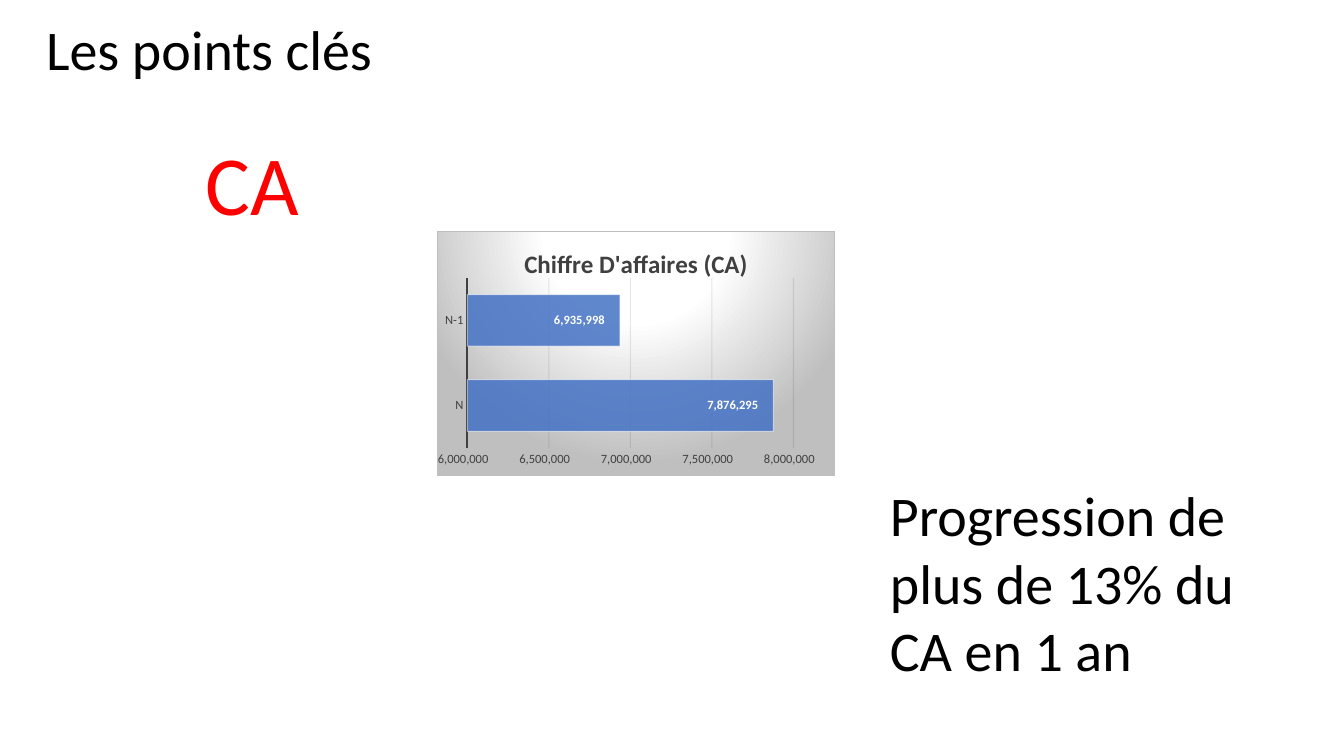
from pptx import Presentation
from pptx.chart.data import CategoryChartData
from pptx.dml.color import RGBColor
from pptx.enum.chart import XL_CHART_TYPE as CHART, XL_LABEL_POSITION as LABEL
from pptx.enum.chart import XL_TICK_MARK as TICK
from pptx.enum.text import MSO_ANCHOR as ANCHOR, MSO_AUTO_SIZE as AUTO, PP_ALIGN as ALIGN
from pptx.oxml import parse_xml
from pptx.oxml.ns import nsdecls
from pptx.util import Emu, Pt

PX = 914400 / 100.8
FONT = "Calibri"
DARK = "404040"
WHITE = "FFFFFF"
GREY = "BFBFBF"
NUMBER = '_-* #,##0\\ _€_-;\\-* #,##0\\ _€_-;_-* "-"?'
REVENUE = "Chiffre D'affaires (CA)"


def px(*lengths):
    return [Emu(round(n * PX)) for n in lengths]


def rgb(code):
    return RGBColor.from_string(code)


def set_font(font, size, color, bold=False):
    values = {"name": FONT, "size": Pt(size), "bold": bold}
    for name, value in values.items():
        setattr(font, name, value)
    font.color.rgb = rgb(color)


def set_line(line, color, width):
    line.color.rgb = rgb(color)
    line.width = Pt(width)


def set_text(sp, text, size, color="000000"):
    tf = sp.text_frame
    tf.text = text
    for name, value in {"word_wrap": True, "auto_size": AUTO.SHAPE_TO_FIT_TEXT,
                        "vertical_anchor": ANCHOR.TOP}.items():
        setattr(tf, name, value)
    p = tf.paragraphs[0]
    for name, value in {"alignment": ALIGN.LEFT, "line_spacing": 1.0,
                        "space_before": Pt(0)}.items():
        setattr(p, name, value)
    set_font(p.runs[0].font, size, color)


def add_title(s, box, text, size):
    sp = s.shapes.title
    sp.left, sp.top, sp.width, sp.height = px(*box)
    set_text(sp, text, size)


def add_text(s, box, text, size, color="000000"):
    set_text(s.shapes.add_textbox(*px(*box)), text, size, color)


def set_alpha(chart, query, percent):
    for color in chart.element.xpath(query):
        color.append(parse_xml(f'<a:alpha {nsdecls("a")} val="{percent * 1000}"/>'))


def set_plot_area(chart, x, y, w, h):
    plot_area = chart.element.xpath("c:chart/c:plotArea")[0]
    for layout in plot_area.xpath("c:layout"):
        plot_area.remove(layout)
    plot_area.insert(0, parse_xml(
        f'<c:layout {nsdecls("c")}><c:manualLayout><c:layoutTarget val="inner"/>'
        '<c:xMode val="edge"/><c:yMode val="edge"/>'
        f'<c:x val="{x}"/><c:y val="{y}"/><c:w val="{w}"/><c:h val="{h}"/>'
        '</c:manualLayout></c:layout>'))


def set_background(chart, stops):
    gradient = "".join(f'<a:gs pos="{pos * 1000}"><a:srgbClr val="{color}"/></a:gs>'
                       for pos, color in stops)
    chart.element.xpath("c:chart")[0].addnext(parse_xml(
        f'<c:spPr {nsdecls("c", "a")}><a:gradFill><a:gsLst>{gradient}</a:gsLst>'
        '<a:path path="circle">'
        '<a:fillToRect l="50000" t="-80000" r="50000" b="180000"/></a:path></a:gradFill>'
        f'<a:ln w="{Pt(0.75)}"><a:solidFill><a:srgbClr val="{GREY}"/></a:solidFill></a:ln>'
        '</c:spPr>'))


def format_axes(chart):
    cat, val = chart.category_axis, chart.value_axis
    for axis in (cat, val):
        axis.major_tick_mark = axis.minor_tick_mark = TICK.NONE
        set_font(axis.tick_labels.font, 9, DARK)
    set_line(cat.format.line, DARK, 1.5)
    val.format.line.fill.background()
    for name, value in {"minimum_scale": 6000000, "maximum_scale": 8000000,
                        "major_unit": 500000, "has_major_gridlines": True}.items():
        setattr(val, name, value)
    val.tick_labels.number_format = NUMBER
    val.tick_labels.number_format_is_linked = False
    set_line(val.major_gridlines.format.line, "0D0D0D", 0.75)
    set_alpha(chart, "//c:majorGridlines//a:srgbClr", 10)


def format_bars(chart):
    plot = chart.plots[0]
    plot.gap_width = 65
    plot.vary_by_categories = False
    bars = plot.series[0]
    bars.format.fill.solid()
    bars.format.fill.fore_color.rgb = rgb("4472C4")
    set_line(bars.format.line, WHITE, 0.75)
    set_alpha(chart, "//c:ser/c:spPr/a:solidFill/a:srgbClr", 85)
    set_alpha(chart, "//c:ser/c:spPr/a:ln//a:srgbClr", 50)
    labels = bars.data_labels
    for name, value in {"show_value": True, "position": LABEL.INSIDE_END,
                        "number_format": NUMBER,
                        "number_format_is_linked": False}.items():
        setattr(labels, name, value)
    set_font(labels.font, 9, WHITE, bold=True)


def add_revenue_chart(s, box, revenue):
    data = CategoryChartData()
    data.categories = list(revenue)
    data.add_series(REVENUE, list(revenue.values()))
    chart = s.shapes.add_chart(CHART.BAR_CLUSTERED, *px(*box), data).chart
    set_font(chart.font, 10, "000000")
    chart.has_legend = False
    chart.has_title = True
    title = chart.chart_title
    title.include_in_layout = False
    title.text_frame.text = REVENUE
    set_font(title.text_frame.paragraphs[0].runs[0].font, 18, DARK, bold=True)
    format_axes(chart)
    format_bars(chart)
    set_plot_area(chart, 0.075, 0.19, 0.822, 0.698)
    set_background(chart, [(0, WHITE), (39, WHITE), (100, GREY)])


def main():
    prs = Presentation()
    prs.slide_width, prs.slide_height = px(1344, 756)
    s = prs.slides.add_slide(prs.slide_layouts[5])

    # Headings
    add_title(s, (36, 9, 1224, 78), "Les points clés", 40)
    add_text(s, (196, 127, 145, 112), "CA", 60, "FF0000")

    # Revenue by year
    add_revenue_chart(s, (435, 231, 400, 245), {"N": 7876295, "N-1": 6935998})

    # Conclusion
    add_text(s, (880, 476, 380, 214), "Progression de plus de 13% du CA en 1 an", 40)

    prs.save("out.pptx")


if __name__ == "__main__":
    main()
